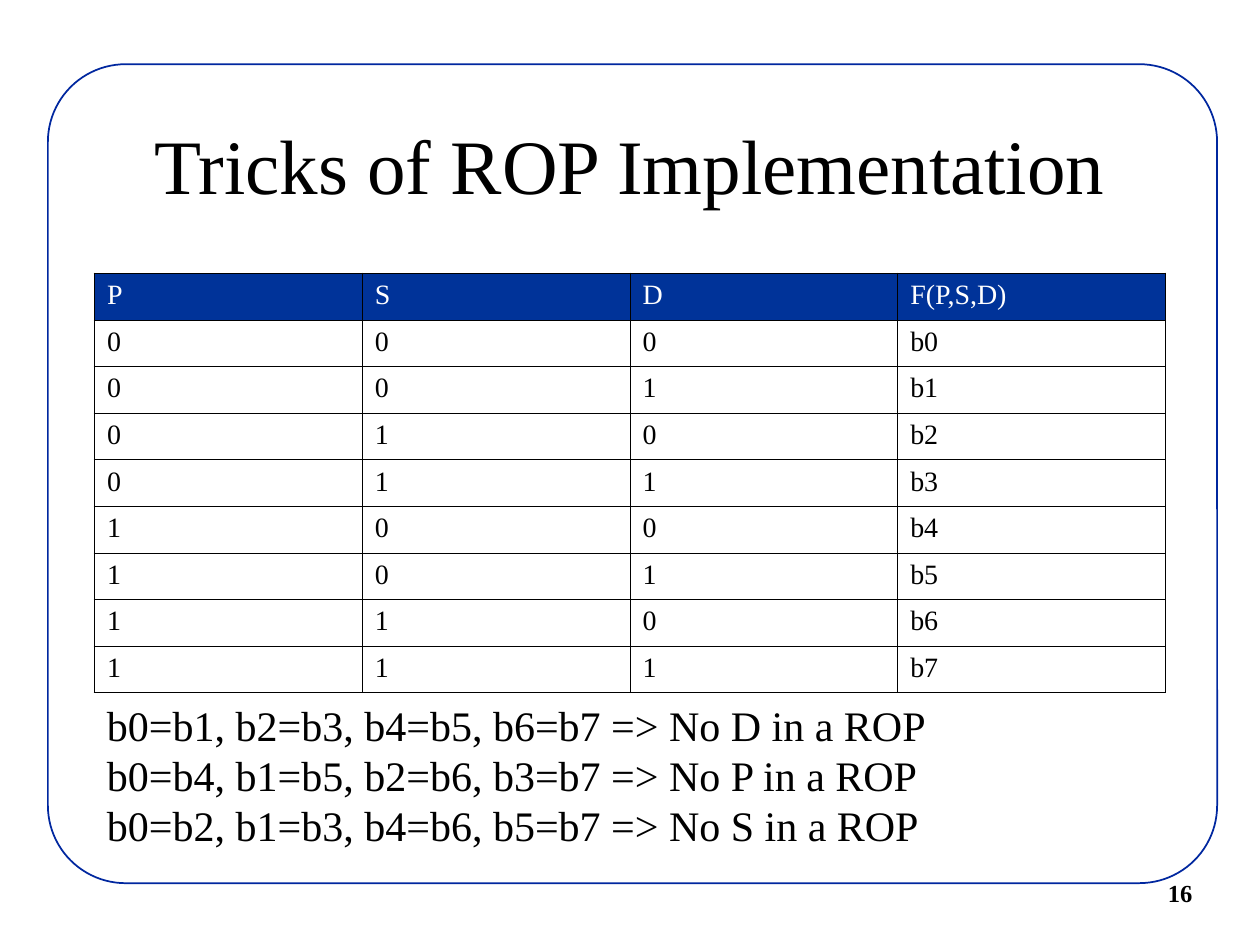
from itertools import product

from lxml.etree import SubElement
from pptx import Presentation
from pptx.dml.color import RGBColor
from pptx.enum.shapes import MSO_SHAPE
from pptx.enum.text import MSO_ANCHOR, MSO_AUTO_SIZE, PP_ALIGN
from pptx.oxml.ns import qn
from pptx.util import Pt

TITLE = "Tricks of ROP Implementation"
HEADERS = ["P", "S", "D", "F(P,S,D)"]
RULES = [
    "b0=b1, b2=b3, b4=b5, b6=b7 => No D in a ROP",
    "b0=b4, b1=b5, b2=b6, b3=b7 => No P in a ROP",
    "b0=b2, b1=b3, b4=b6, b5=b7 => No S in a ROP",
]
PAGE_NUMBER = "16"

FONT = "Times New Roman"
BLACK = RGBColor(0x00, 0x00, 0x00)
WHITE = RGBColor(0xFF, 0xFF, 0xFF)
FRAME_BLUE = RGBColor(0x00, 0x27, 0x9F)
HEADER_BLUE = RGBColor(0x00, 0x33, 0x99)

LEFT, WIDTH = 54, 612
TABLE_TOP, TABLE_HEIGHT = 156.24, 239.76
OUTER_BORDER, INNER_BORDER = 1.08, 0.45


def format_text(text_frame, size, color=BLACK, bold=False):
    for paragraph in text_frame.paragraphs:
        for run in paragraph.runs:
            run.font.name = FONT
            run.font.size = Pt(size)
            run.font.bold = bold
            run.font.color.rgb = color


def add_text(slide, text, left, top, width, height, size, wrap=False, bold=False):
    box = slide.shapes.add_textbox(Pt(left), Pt(top), Pt(width), Pt(height))
    text_frame = box.text_frame
    text_frame.text = text
    text_frame.word_wrap = wrap
    if not wrap:
        text_frame.auto_size = MSO_AUTO_SIZE.SHAPE_TO_FIT_TEXT
    format_text(text_frame, size, bold=bold)
    return text_frame


def add_frame(slide):
    frame = slide.shapes.add_shape(
        MSO_SHAPE.ROUNDED_RECTANGLE, Pt(27.36), Pt(36.72), Pt(668.16), Pt(468)
    )
    frame.adjustments[0] = 0.095
    frame.shadow.inherit = False
    frame.fill.solid()
    frame.fill.fore_color.rgb = WHITE
    frame.line.color.rgb = FRAME_BLUE
    frame.line.width = Pt(1)


def set_borders(cell, outer_sides):
    properties = cell._tc.get_or_add_tcPr()
    for side, is_outer in outer_sides.items():
        width = Pt(OUTER_BORDER if is_outer else INNER_BORDER)
        line = SubElement(properties, qn(f"a:ln{side}"), w=str(width))
        fill = SubElement(line, qn("a:solidFill"))
        SubElement(fill, qn("a:srgbClr"), val=str(BLACK))


def add_truth_table(slide):
    inputs = product("01", repeat=3)
    rows = [HEADERS] + [[*bits, f"b{index}"] for index, bits in enumerate(inputs)]
    last_row, last_column = len(rows) - 1, len(HEADERS) - 1
    table = slide.shapes.add_table(
        len(rows), len(HEADERS), Pt(LEFT), Pt(TABLE_TOP), Pt(WIDTH), Pt(TABLE_HEIGHT)
    ).table
    table.horz_banding = False
    for column in table.columns:
        column.width = Pt(WIDTH / len(HEADERS))
    for row in table.rows:
        row.height = Pt(TABLE_HEIGHT / len(rows))
    for row_index, values in enumerate(rows):
        is_header = row_index == 0
        for column_index, value in enumerate(values):
            cell = table.cell(row_index, column_index)
            cell.text_frame.text = value
            format_text(cell.text_frame, 16, WHITE if is_header else BLACK)
            set_borders(cell, {
                "L": column_index == 0,
                "R": column_index == last_column,
                "T": is_header,
                "B": row_index == last_row,
            })
            if is_header:
                cell.fill.solid()
                cell.fill.fore_color.rgb = HEADER_BLUE
            else:
                cell.fill.background()


def main():
    presentation = Presentation()
    presentation.slide_width = Pt(720)
    presentation.slide_height = Pt(540)
    slide = presentation.slides.add_slide(presentation.slide_layouts[6])

    add_frame(slide)
    add_text(slide, PAGE_NUMBER, 660.24, 498.24, 77.76, 23.76, 14, bold=True)
    title = add_text(slide, TITLE, LEFT, 48.24, WIDTH, 90, 44, wrap=True)
    title.vertical_anchor = MSO_ANCHOR.MIDDLE
    title.paragraphs[0].alignment = PP_ALIGN.CENTER
    add_truth_table(slide)
    add_text(slide, "\n".join(RULES), LEFT, TABLE_TOP + TABLE_HEIGHT, 482.4, 93.6, 24)

    presentation.save("out.pptx")


if __name__ == "__main__":
    main()
